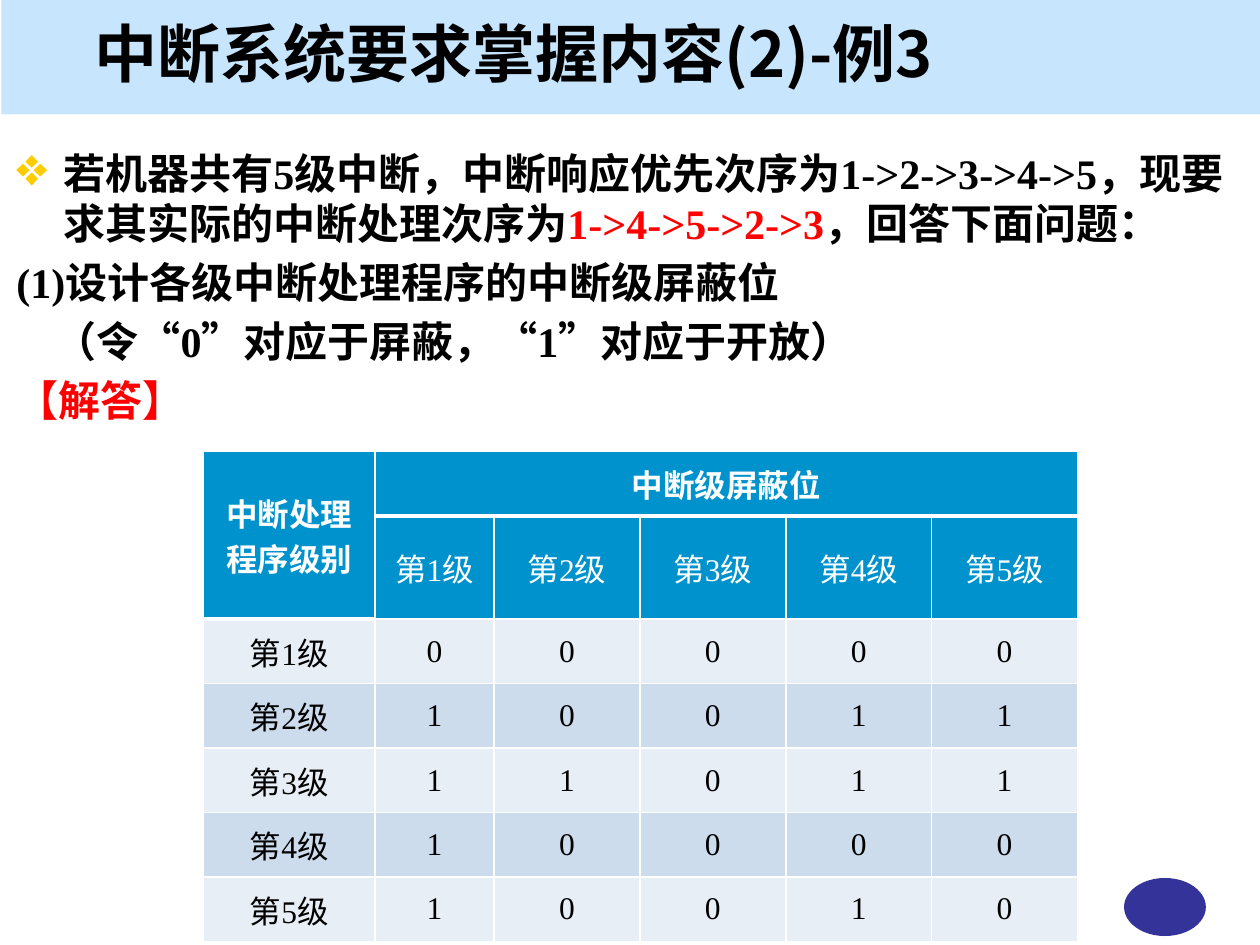
"""Build the slide on interrupt mask bits, example 3."""
import pptx
import pptx.util
import pptx.dml.color
import pptx.enum.shapes
import pptx.enum.text
import pptx.oxml.ns
from lxml import etree
from pptx.util import Cm

COLORS = {
    "band": "C7E6FD", "badge": "333399", "bullet": "FFCC00", "black": "000000",
    "red": "FF0000", "white": "FFFFFF", "header": "0092CC",
    "odd_row": "E7EEF6", "even_row": "CCDCEC",
}
SERIF, SANS = "Times New Roman", "Noto Sans CJK SC"
MASK_BITS = ["00000", "10011", "11011", "10000", "10010"]
QUESTION = [
    [("若机器共有5级中断，中断响应优先次序为1->2->3->4->5，现要求其实际的中断处理次序为", "black"),
     ("1->4->5->2->3", "red"), ("，回答下面问题：", "black")],
    [("(1)设计各级中断处理程序的中断级屏蔽位", "black")],
    [("（令“0”对应于屏蔽，“1”对应于开放）", "black")],
    [("【解答】", "red")],
]


def rgb(name):
    return pptx.dml.color.RGBColor.from_string(COLORS[name])


def add_element(parent, tag, **attributes):
    return etree.SubElement(parent, pptx.oxml.ns.qn(tag), attributes)


def add_text(paragraph, text, size=18, color="black", bold=False, font=SERIF, align=None):
    run = paragraph.add_run()
    run.text = text
    run.font.size = pptx.util.Pt(size)
    run.font.bold = bold
    run.font.name = font
    run.font.color.rgb = rgb(color)
    add_element(run.font._element, "a:ea", typeface=SANS)
    if align is not None:
        paragraph.alignment = align


def add_plain_shape(slide, kind, left, top, width, height, color):
    shape = slide.shapes.add_shape(kind, Cm(left), Cm(top), Cm(width), Cm(height))
    shape.shadow.inherit = False
    shape.fill.solid()
    shape.fill.fore_color.rgb = rgb(color)
    shape.line.fill.background()
    return shape


def add_title(slide, text):
    title = slide.shapes.title
    title.left, title.top, title.width, title.height = Cm(1.65), Cm(0.2), Cm(21.8), Cm(1.7)
    title.text_frame.vertical_anchor = pptx.enum.text.MSO_ANCHOR.MIDDLE
    add_text(title.text_frame.paragraphs[0], text, size=36, bold=True, font=SANS,
             align=pptx.enum.text.PP_ALIGN.LEFT)


def set_indent(paragraph, left, first=0):
    properties = paragraph._p.get_or_add_pPr()
    properties.set("marL", str(Cm(left)))
    properties.set("indent", str(Cm(first)))
    return properties


def add_question(slide):
    frame = slide.shapes.add_textbox(Cm(0.08), Cm(2.85), Cm(25.22), Cm(5.87)).text_frame
    frame.word_wrap = True
    for index, parts in enumerate(QUESTION):
        paragraph = frame.add_paragraph() if index else frame.paragraphs[0]
        if index:
            paragraph.space_before = pptx.util.Pt(4.8)
        for text, color in parts:
            add_text(paragraph, text, size=24, color=color, bold=True)
    bulleted = set_indent(frame.paragraphs[0], 0.95, -0.95)
    add_element(add_element(bulleted, "a:buClr"), "a:srgbClr", val=COLORS["bullet"])
    add_element(bulleted, "a:buSzPct", val="130000")
    add_element(bulleted, "a:buChar", char="❖")
    set_indent(frame.paragraphs[2], 0.77)


def set_borders(cell, row, column):
    header_end = 0 if column else 1
    widths = {"L": 1, "R": 1, "T": 3 if row == header_end + 1 else 1,
              "B": 3 if row in (0, header_end) else 1}
    for side, points in widths.items():
        line = add_element(cell._tc.get_or_add_tcPr(), f"a:ln{side}",
                           w=str(pptx.util.Pt(points)))
        add_element(add_element(line, "a:solidFill"), "a:srgbClr", val=COLORS["white"])


def add_mask_table(slide):
    levels = [f"第{number}级" for number in range(1, 6)]
    rows = [["中断处理程序级别", "中断级屏蔽位", "", "", "", ""], ["", *levels]]
    rows += [[level, *bits] for level, bits in zip(levels, MASK_BITS)]
    table = slide.shapes.add_table(len(rows), 6, Cm(4.1), Cm(9.1), Cm(17.6), Cm(9.1)).table
    for column, width in zip(table.columns, [3.46, 2.4] + [2.94] * 4):
        column.width = Cm(width)
    table.rows[1].height = Cm(2.08)
    table.cell(0, 0).merge(table.cell(1, 0))
    table.cell(0, 1).merge(table.cell(0, 5))
    for row, texts in enumerate(rows):
        is_header = row < 2
        fill = "header" if is_header else ("even_row" if row % 2 else "odd_row")
        for column, text in enumerate(texts):
            cell = table.cell(row, column)
            set_borders(cell, row, column)
            cell.fill.solid()
            cell.fill.fore_color.rgb = rgb(fill)
            cell.vertical_anchor = pptx.enum.text.MSO_ANCHOR.MIDDLE
            if text:
                add_text(cell.text_frame.paragraphs[0], text, bold=row == 0,
                         color="white" if is_header else "black",
                         align=pptx.enum.text.PP_ALIGN.CENTER)


def main():
    presentation = pptx.Presentation()
    presentation.slide_width, presentation.slide_height = Cm(25.4), Cm(19.05)
    slide = presentation.slides.add_slide(presentation.slide_layouts[5])
    shapes = pptx.enum.shapes.MSO_SHAPE
    band = add_plain_shape(slide, shapes.RECTANGLE, 0.03, 0, 25.37, 2.31, "band")
    slide.shapes._spTree.insert(2, band._element)
    add_plain_shape(slide, shapes.OVAL, 22.66, 17.7, 1.65, 1.17, "badge")
    add_title(slide, "中断系统要求掌握内容(2)-例3")
    add_question(slide)
    add_mask_table(slide)
    presentation.save("out.pptx")


if __name__ == "__main__":
    main()
